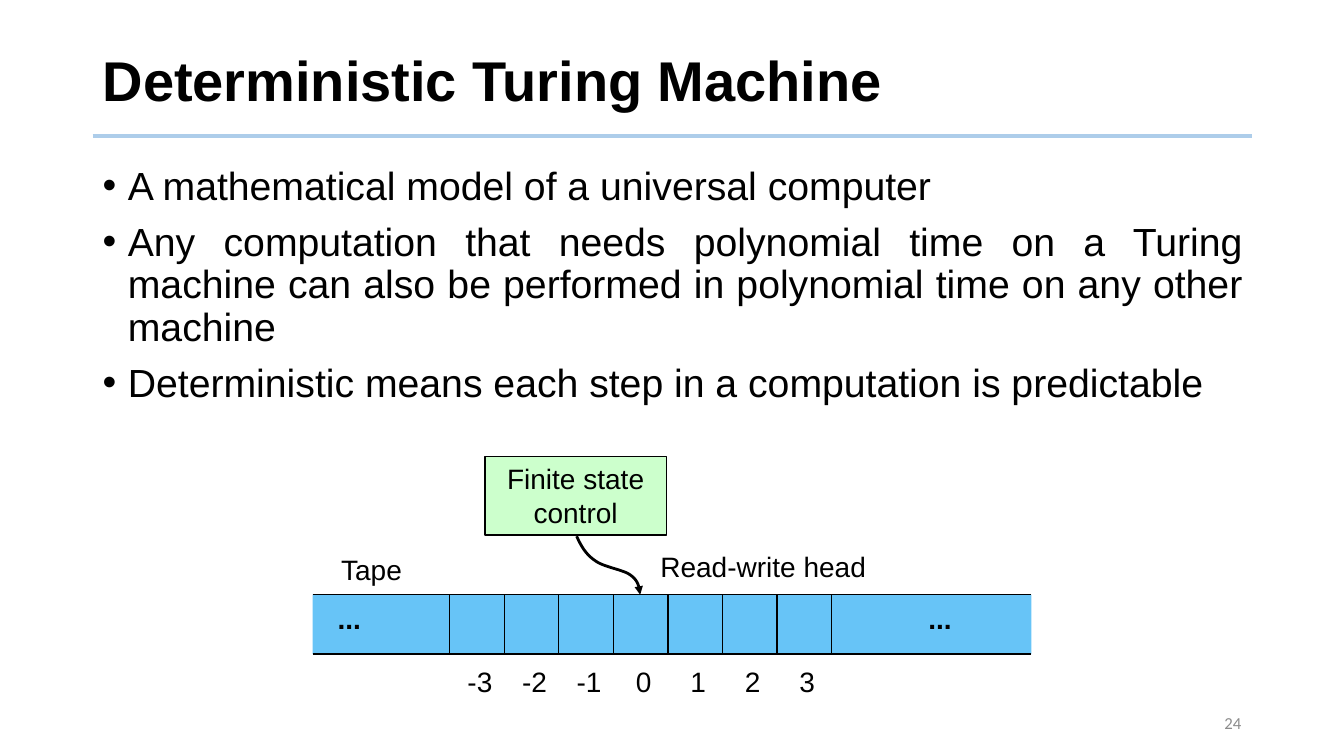
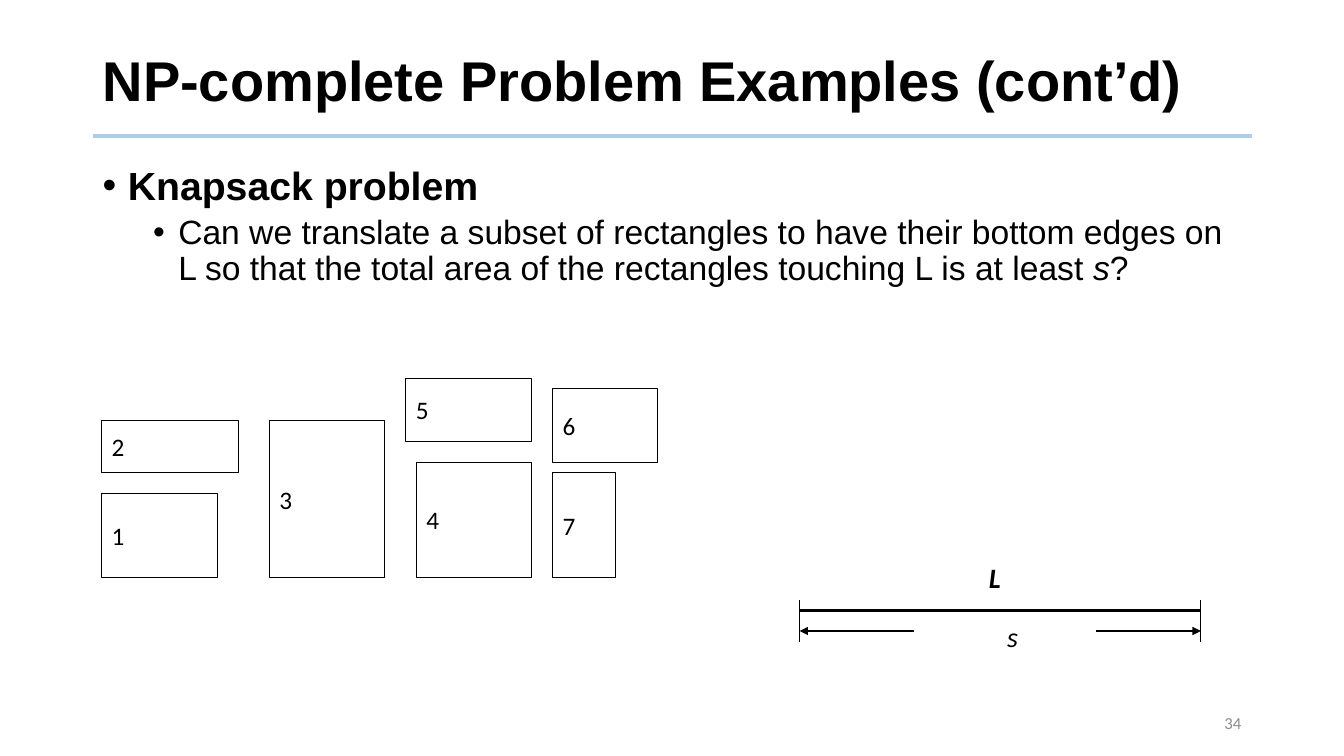
from lxml import etree
from pptx import Presentation
from pptx.dml.color import RGBColor
from pptx.enum.shapes import MSO_CONNECTOR, MSO_SHAPE
from pptx.enum.text import MSO_ANCHOR, PP_ALIGN
from pptx.oxml.ns import qn
from pptx.util import Inches, Pt

BLACK = RGBColor(0x00, 0x00, 0x00)
WHITE = RGBColor(0xFF, 0xFF, 0xFF)
GREY = RGBColor(0x8C, 0x8C, 0x8C)
RULE = RGBColor(0xAD, 0xCD, 0xEA)
BLUE = RGBColor(0x67, 0xC4, 0xF7)
GREEN = RGBColor(0xCC, 0xFF, 0xCC)

LEFT, MID, RIGHT = PP_ALIGN.LEFT, PP_ALIGN.CENTER, PP_ALIGN.RIGHT
JUST = PP_ALIGN.JUSTIFY
TOP, CENTRE = MSO_ANCHOR.TOP, MSO_ANCHOR.MIDDLE
RECT, LINE = MSO_SHAPE.RECTANGLE, MSO_CONNECTOR.STRAIGHT

SANS, PLAIN = "Arial", "Calibri"
UNIT = Inches(0.1)  # side of one grid square


def grid(*cells):
    return [round(c * UNIT) for c in cells]


def bend(start, parts, steps=16):
    """Points along a chain of cubic curves."""
    spots = []
    for a, b, c in parts:
        for n in range(1, steps + 1):
            t = n / steps
            u = 1 - t
            spots.append(tuple(
                u**3 * p + 3 * u * u * t * q + 3 * u * t * t * r + t**3 * s
                for p, q, r, s in zip(start, a, b, c)))
        start = c
    return spots


class Deck:
    edge, wide = 9.2, 115

    def __init__(self):
        self.file = Presentation()
        self.file.slide_width = Inches(13.33)
        self.file.slide_height = Inches(7.5)

    def page(self, title, number):
        """Start a slide with its title, rule and page number."""
        self.slide = self.file.slides.add_slide(self.file.slide_layouts[6])
        self.shapes = self.slide.shapes
        self.line((self.edge, 13.5), (self.edge + self.wide, 13.5), 3, RULE)
        self.text((self.edge, 2.8, self.wide, 11), title, 40, bold=True,
                  anchor=CENTRE, space=0.9)
        self.text((100.8, 69.7, 23.3, 4), str(number), 12, PLAIN, GREY,
                  align=RIGHT, anchor=CENTRE)

    def style(self, para, size, face=SANS, color=BLACK, bold=False,
              slant=False, align=LEFT):
        para.alignment = align
        font = para.font
        font.name, font.size = face, Pt(size)
        font.bold, font.italic = bold, slant
        font.color.rgb = color

    def fill_in(self, shape, words, size, face=SANS, color=BLACK, anchor=TOP,
                wrap=True, space=None, **look):
        frame = shape.text_frame
        frame.word_wrap, frame.vertical_anchor = wrap, anchor
        para = frame.paragraphs[0]
        para.text = words
        if space:
            para.line_spacing = space
        self.style(para, size, face, color, **look)

    def text(self, area, words, size, face=SANS, color=BLACK, **look):
        box = self.shapes.add_textbox(*grid(*area))
        self.fill_in(box, words, size, face, color, **look)

    def label(self, area, words, **look):
        self.text(area, words, 20, align=MID, wrap=False, **look)

    def body(self, items, align=LEFT):
        """Bullets as (level, bold, runs); a run is (words, slant)."""
        box = self.shapes.add_textbox(*grid(self.edge, 16, self.wide, 51.5))
        frame = box.text_frame
        frame.word_wrap = True
        for n, (level, bold, runs) in enumerate(items):
            para = frame.add_paragraph() if n else frame.paragraphs[0]
            para.level, para.line_spacing = level, 0.9
            para.space_before = Pt((10, 5)[level] if n else 0)
            props = para._p.get_or_add_pPr()
            props.set("marL", str(Inches(0.25 + 0.5 * level)))
            props.set("indent", str(Inches(-0.25)))
            etree.SubElement(props, qn("a:buFont")).set("typeface", SANS)
            etree.SubElement(props, qn("a:buChar")).set("char", "•")
            self.style(para, (28, 24)[level], bold=bold, align=align)
            for words, slant in runs:
                run = para.add_run()
                run.text = words
                if slant:
                    run.font.italic = True

    def box(self, area, fill, width=0):
        shape = self.shapes.add_shape(RECT, *grid(*area))
        shape.shadow.inherit = False
        shape.fill.solid()
        shape.fill.fore_color.rgb = fill
        if width:
            self.ink(shape, width)
        else:
            shape.line.fill.background()
        return shape

    def ink(self, shape, width, color=BLACK, arrow=False):
        shape.line.color.rgb = color
        shape.line.width = Pt(width)
        if arrow:
            pen = shape.line._get_or_add_ln()
            etree.SubElement(pen, qn("a:tailEnd")).set("type", "triangle")

    def line(self, start, end, width, color=BLACK, arrow=False):
        wire = self.shapes.add_connector(LINE, *grid(*start, *end))
        self.ink(wire, width, color, arrow)
        etree.SubElement(wire._element.spPr, qn("a:effectLst"))

    def curve(self, start, parts, width):
        pen = self.shapes.build_freeform(*grid(*start))
        pen.add_line_segments([grid(*p) for p in bend(start, parts)],
                              close=False)
        trace = pen.convert_to_shape()
        trace.shadow.inherit = False
        trace.fill.background()
        self.ink(trace, width, arrow=True)


def turing(deck):
    deck.page("Deterministic Turing Machine", 24)
    points = (
        "A mathematical model of a universal computer",
        "Any computation that needs polynomial time on a Turing machine can "
        "also be performed in polynomial time on any other machine",
        "Deterministic means each step in a computation is predictable",
    )
    deck.body([(0, False, [(p, False)]) for p in points], JUST)

    # Tape with its cells
    left, top, wide, high = 31, 59, 71.3, 5.9
    first, cell, count = 44.6, 5.41, 7
    deck.box((left, top, wide, high), BLUE)
    for y in (top, top + high):
        deck.line((left, y), (left + wide, y), 1)
    for n in range(count + 1):
        x = first + n * cell
        deck.line((x, top), (x, top + high), 1)
    for n in range(count):
        deck.label((first + n * cell + 0.3, 65.4, cell, 4.3),
                   str(n - count // 2))
    for x in (32.5, 91.1):
        deck.label((x, 59.2, 4.3, 4.3), "...", bold=True)
    deck.label((32.7, 54.3, 8.3, 4.3), "Tape")

    # Control and head
    deck.curve((57.2, 53.2), [
        ((57.6, 54.1), (58.1, 55), (59, 55.6)),
        ((59.9, 56.3), (61.9, 56.5), (62.6, 57.1)),
        ((63.4, 57.7), (63.4, 58.4), (63.5, 59)),
    ], 2)
    deck.label((64.5, 54, 22.4, 4.3), "Read-write head")
    state = deck.box((48.1, 45.3, 18, 7.8), GREEN, 1)
    deck.fill_in(state, "Finite state control", 20, align=MID)


def knapsack(deck):
    deck.page("NP-complete Problem Examples (cont’d)", 34)
    deck.body([
        (0, True, [("Knapsack problem", False)]),
        (1, False, [
            ("Can we translate a subset of rectangles to have their bottom "
             "edges on L so that the total area of the rectangles touching L "
             "is at least ", False),
            ("s", True), ("?", False)]),
    ])

    # Target length
    left, right = 79.3, 119.1
    deck.line((left, 60.6), (right, 60.6), 2)
    for x, inner in ((left, 90.7), (right, 108.7)):
        deck.line((x, 59.5), (x, 63.7), 0.75)
        deck.line((inner, 62.6), (x, 62.6), 0.75, arrow=True)
    deck.text((98.9, 61, 4, 4.4), "s", 20, PLAIN, slant=True)
    deck.text((97.1, 55.1, 4.3, 4.4), "L", 20, PLAIN, bold=True, slant=True)

    # Numbered rectangles: column, rise above base, width, height in tiles
    tile, start, base = 1.04, 10.1, 57.3
    sizes = ((0, 0, 11, 8), (0, 10, 13, 5), (16, 0, 11, 15), (30, 0, 11, 11),
             (29, 13, 12, 6), (43, 11, 10, 7), (43, 0, 6, 10))
    for n, (col, rise, wide, high) in enumerate(sizes, 1):
        area = (start + col * tile, base - (rise + high) * tile,
                wide * tile, high * tile)
        deck.fill_in(deck.box(area, WHITE, 0.75), str(n), 18, PLAIN,
                     anchor=CENTRE)


def main():
    deck = Deck()
    turing(deck)
    knapsack(deck)
    deck.file.save("out.pptx")


if __name__ == "__main__":
    main()
